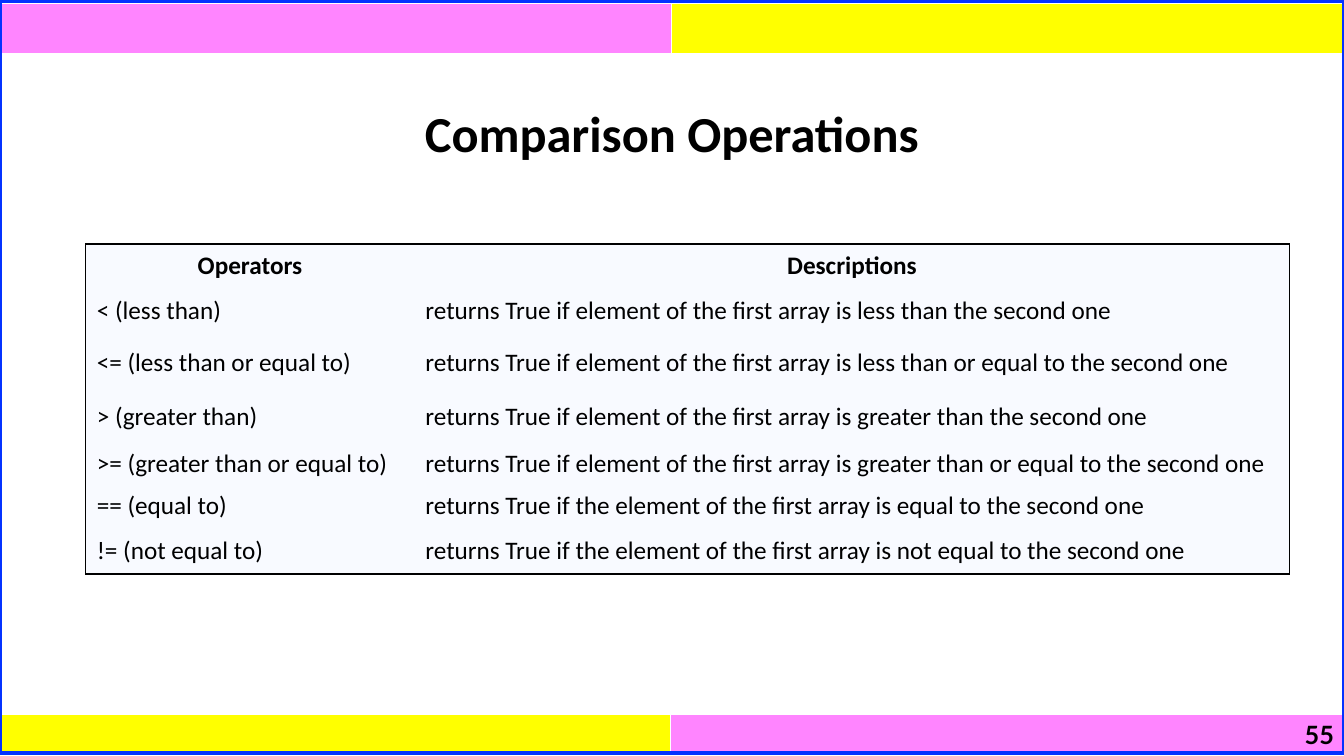
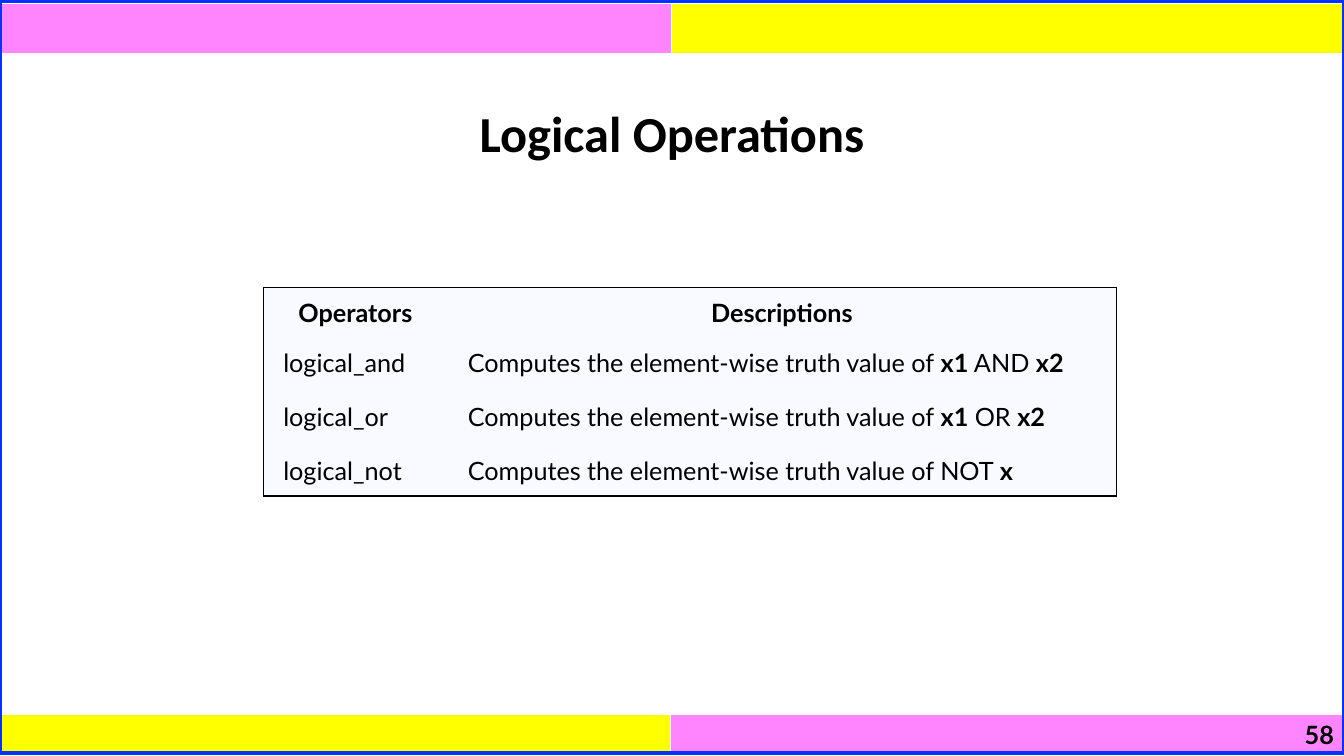
from lxml import etree
from pptx import Presentation
from pptx.dml.color import RGBColor
from pptx.enum.shapes import MSO_SHAPE
from pptx.enum.text import MSO_ANCHOR, MSO_AUTO_SIZE, PP_ALIGN
from pptx.oxml.ns import qn
from pptx.util import Inches, Pt

LEFT, CENTER, RIGHT = PP_ALIGN.LEFT, PP_ALIGN.CENTER, PP_ALIGN.RIGHT
TOP, MIDDLE = MSO_ANCHOR.TOP, MSO_ANCHOR.MIDDLE
RECTANGLE = MSO_SHAPE.RECTANGLE
NO_AUTOFIT = MSO_AUTO_SIZE.NONE

PINK = RGBColor(0xFF, 0x85, 0xFF)
YELLOW = RGBColor(0xFF, 0xFF, 0x00)
BLUE = RGBColor(0x04, 0x32, 0xFF)
PALE = RGBColor(0xF8, 0xFA, 0xFF)
BLACK = RGBColor(0x00, 0x00, 0x00)
WHITE = RGBColor(0xFF, 0xFF, 0xFF)

WIDTH, HEIGHT = 13.33, 7.5
TITLE_ONLY = 5
HEADINGS = ("Operators", "Descriptions")
RETURNS = "returns True if element of the first array is "
RETURNS_THE = "returns True if the element of the first array is "
COMPUTES = "Computes the element-wise truth value of "

SLIDES = [
    {
        "title": "Comparison Operations", "number": "55", "font": "Calibri",
        "at": (0.85, 2.42), "cols": (3.26, 8.68), "insets": (0.11, 0.06),
        "heights": (0.42, 0.47, 0.57, 0.5, 0.41, 0.41, 0.46),
        "rows": [
            ("< (less than)", RETURNS + "less than the second one"),
            ("<= (less than or equal to)", RETURNS + "less than or equal to the second one"),
            ("> (greater than)", RETURNS + "greater than the second one"),
            (">= (greater than or equal to)", RETURNS + "greater than or equal to the second one"),
            ("== (equal to)", RETURNS_THE + "equal to the second one"),
            ("!= (not equal to)", RETURNS_THE + "not equal to the second one"),
        ],
    },
    {
        "title": "Logical Operations", "number": "58", "font": "Lato",
        "at": (2.61, 2.85), "cols": (1.83, 6.63), "insets": (0.2, 0.1),
        "heights": (0.5, 0.5, 0.57, 0.5),
        "rows": [
            ("logical_and", COMPUTES + "**x1** AND **x2**"),
            ("logical_or", COMPUTES + "**x1** OR **x2**"),
            ("logical_not", COMPUTES + "NOT **x**"),
        ],
    },
]


def write(tf, text, font="Calibri", size=18, bold=False, align=LEFT, anchor=TOP):
    tf.vertical_anchor = anchor
    p = tf.paragraphs[0]
    p.alignment = align
    for i, part in enumerate(text.split("**")):
        if part:
            r = p.add_run()
            r.text = part
            r.font.name = font
            r.font.size = Pt(size)
            r.font.bold = bold or i % 2 == 1
            r.font.color.rgb = BLACK


def set_borders(cell, edges):
    tc_pr = cell._tc.get_or_add_tcPr()
    for i, side in enumerate("LRTB"):
        ln = etree.Element(qn(f"a:ln{side}"))
        if side in edges:
            color, width = edges[side]
            ln.set("w", str(Pt(width)))
            fill = etree.SubElement(ln, qn("a:solidFill"))
            etree.SubElement(fill, qn("a:srgbClr"), val=str(color))
        else:
            ln.set("w", "0")
            etree.SubElement(ln, qn("a:noFill"))
        tc_pr.insert(i, ln)


def add_plain_table(s, at, cols, heights):
    left, top = at
    shape = s.shapes.add_table(len(heights), len(cols), Inches(left), Inches(top),
                               Inches(sum(cols)), Inches(sum(heights)))
    table = shape.table
    table.first_row = table.horz_banding = False
    for column, width in zip(table.columns, cols):
        column.width = Inches(width)
    for row, height in zip(table.rows, heights):
        row.height = Inches(height)
    return table


def fill_cell(cell, color, edges):
    cell.fill.solid()
    cell.fill.fore_color.rgb = color
    set_borders(cell, edges)


def add_band(s, top, height, split, colors, number=""):
    table = add_plain_table(s, (0, top), (split, WIDTH - split), (height,))
    edges = dict.fromkeys("LRT", (WHITE, 1)) | {"B": (WHITE, 3)}
    for cell, color in zip(table.iter_cells(), colors):
        fill_cell(cell, color, edges)
    if number:
        cell = table.cell(0, 1)
        write(cell.text_frame, number, font="Lato", bold=True, align=RIGHT)


def add_frame(s, title, number):
    add_band(s, 0.03, 0.51, 6.66, (PINK, YELLOW))
    add_band(s, 7.09, 0.41, 6.65, (YELLOW, PINK), number)
    border = s.shapes.add_shape(RECTANGLE, 0, Inches(0.01), Inches(WIDTH), Inches(7.46))
    border.shadow.inherit = False
    border.fill.background()
    border.line.color.rgb = BLUE
    border.line.width = Pt(3)

    sp = s.shapes.title
    sp.left, sp.top, sp.width, sp.height = 0, Inches(0.96), Inches(WIDTH), Inches(0.71)
    sp.text_frame.auto_size = NO_AUTOFIT
    write(sp.text_frame, title, size=36, bold=True, align=CENTER, anchor=MIDDLE)


def add_operator_table(s, data):
    rows = [HEADINGS, *data["rows"]]
    table = add_plain_table(s, data["at"], data["cols"], data["heights"])
    inset_x, inset_y = (Inches(inset) for inset in data["insets"])
    for i, row in enumerate(rows):
        for j, text in enumerate(row):
            cell = table.cell(i, j)
            outer = "LR"[j] + "T" * (i == 0) + "B" * (i == len(rows) - 1)
            fill_cell(cell, PALE, dict.fromkeys(outer, (BLACK, 1)))
            cell.margin_left = cell.margin_right = inset_x
            cell.margin_top = cell.margin_bottom = inset_y
            write(cell.text_frame, text, font=data["font"], bold=i == 0,
                  align=LEFT if i else CENTER)
            cell.vertical_anchor = MIDDLE


def main():
    prs = Presentation()
    prs.slide_width, prs.slide_height = Inches(WIDTH), Inches(HEIGHT)
    for data in SLIDES:
        s = prs.slides.add_slide(prs.slide_layouts[TITLE_ONLY])
        add_frame(s, data["title"], data["number"])
        add_operator_table(s, data)
    prs.save("out.pptx")


if __name__ == "__main__":
    main()
